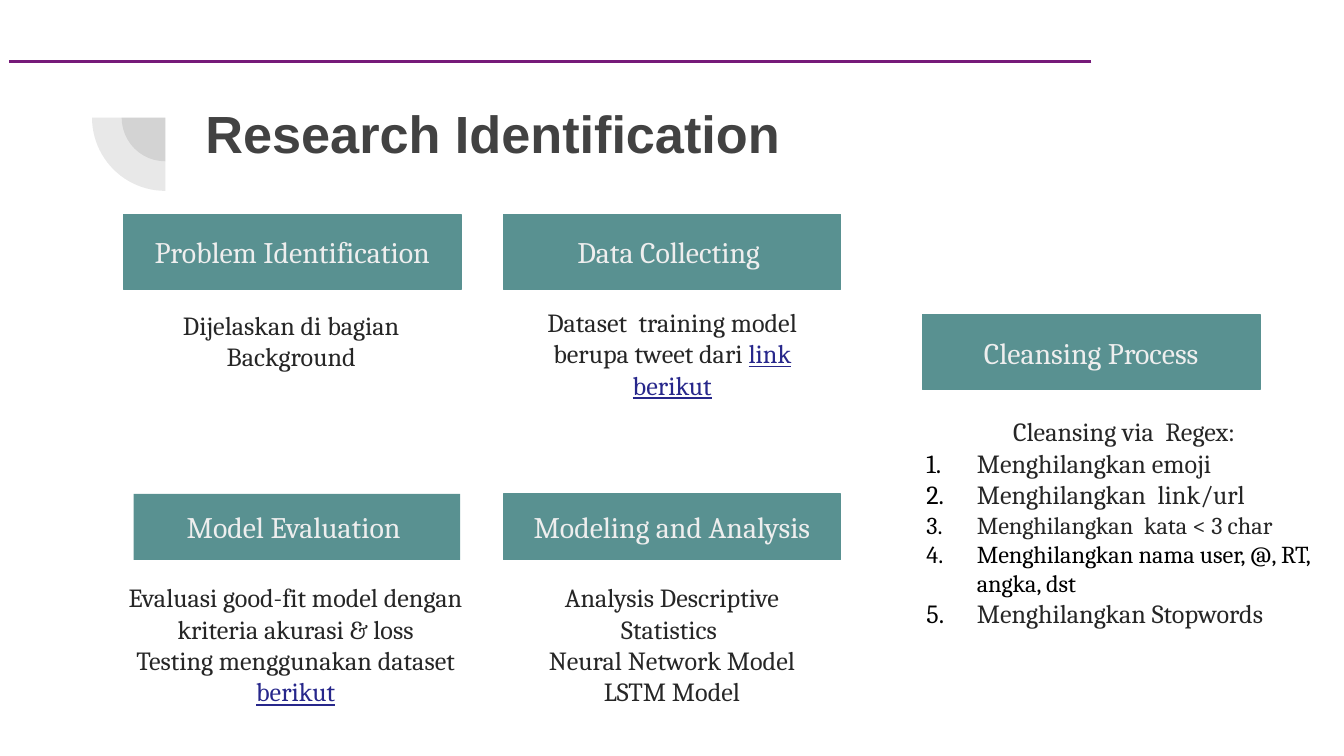
from dataclasses import dataclass

from lxml.etree import SubElement
from pptx import Presentation
from pptx.dml.color import RGBColor
from pptx.enum.shapes import MSO_CONNECTOR as Connector, MSO_SHAPE as Preset
from pptx.enum.text import MSO_ANCHOR as Anchor, PP_ALIGN as Align
from pptx.oxml.ns import qn
from pptx.util import Emu, Pt

EMU_PER_PX = 4572


@dataclass(frozen=True)
class Theme:
    """Colours, fonts and type sizes of the deck."""
    teal: str = "599191"
    purple: str = "761A79"
    grey: str = "424242"
    pale: str = "EEEEEE"
    ink: str = "262626"
    black: str = "000000"
    link: str = "27278B"
    title_font: str = "Arial"
    font: str = "Cambria"
    title_size: int = 28
    heading_size: int = 16
    body_size: int = 14
    small_size: int = 13


THEME = Theme()


@dataclass(frozen=True)
class Span:
    """A stretch of text and its format."""
    text: str
    color: str = THEME.ink
    size: int = THEME.body_size
    font: str = THEME.font
    bold: bool = False
    underline: bool = False


@dataclass(frozen=True)
class Line:
    """A paragraph made of spans."""
    spans: tuple
    align: Align = Align.CENTER
    numbered: bool = False


def px(*lengths):
    """Turn px lengths into EMU."""
    return [Emu(length * EMU_PER_PX) for length in lengths]


def assign(target, values):
    """Set the attributes of an object from a dict."""
    for name, value in values.items():
        setattr(target, name, value)


def paint(fill, color):
    """Make a fill solid."""
    fill.solid()
    fill.fore_color.rgb = RGBColor.from_string(color)


def number(para):
    """Number a paragraph with a hanging indent."""
    properties = para._p.get_or_add_pPr()
    indent = 75 * EMU_PER_PX
    for name, value in {"marL": indent, "indent": -indent}.items():
        properties.set(name, str(value))
    color = SubElement(properties, qn("a:buClr"))
    SubElement(color, qn("a:srgbClr"), val=THEME.black)
    SubElement(properties, qn("a:buAutoNum"), type="arabicPeriod")


def write(shape, lines, anchor=Anchor.MIDDLE, side=20):
    """Fill a shape with formatted lines."""
    frame = shape.text_frame
    edge, margin = px(20, side)
    assign(frame, {"word_wrap": True, "vertical_anchor": anchor,
                   "margin_left": margin, "margin_right": margin,
                   "margin_top": edge, "margin_bottom": edge})
    for index, line in enumerate(lines):
        para = frame.add_paragraph() if index else frame.paragraphs[0]
        para.alignment = line.align
        if line.numbered:
            number(para)
        for span in line.spans:
            run = para.add_run()
            run.text = span.text
            assign(run.font, {"name": span.font, "size": Pt(span.size),
                              "bold": span.bold, "underline": span.underline})
            run.font.color.rgb = RGBColor.from_string(span.color)


def add_rule(page, box):
    """Draw the line across the top of the page."""
    left, top, width = box
    rule = page.shapes.add_connector(Connector.STRAIGHT, *px(left + width, top, left, top))
    rule.line.width = Pt(1.5)
    rule.line.color.rgb = RGBColor.from_string(THEME.purple)
    SubElement(rule._element.spPr, qn("a:effectLst"))


def add_ornament(page, box):
    """Draw two translucent quarter discs around the centre of a box."""
    left, top, size = box
    for inset in (44, 0):
        side = size - 2 * inset
        pie = page.shapes.add_shape(Preset.PIE, *px(left + inset, top + inset, side, side))
        pie.adjustments[0], pie.adjustments[1] = 108, 162
        pie.rotation = 270
        pie.shadow.inherit = False
        pie.line.fill.background()
        paint(pie.fill, THEME.grey)
        color = pie._element.spPr.find(qn("a:solidFill"))[0]
        SubElement(color, qn("a:alpha"), val="12000")


def add_title(page, box, text):
    """Place the page title."""
    span = Span(text, THEME.grey, THEME.title_size, THEME.title_font, bold=True)
    write(page.shapes.add_textbox(*px(*box)), [Line((span,), Align.LEFT)], Anchor.TOP)


def add_card(page, box, heading, body, lines, outlined=True, side=0):
    """Place a heading bar, with its body text offset from the bar."""
    left, top, width, height = box
    bar = page.shapes.add_shape(Preset.RECTANGLE, *px(*box))
    bar.shadow.inherit = False
    paint(bar.fill, THEME.teal)
    if outlined:
        bar.line.width = Pt(0.75)
        bar.line.color.rgb = RGBColor.from_string(THEME.teal)
    else:
        bar.line.fill.background()
    write(bar, [Line((Span(heading, THEME.pale, THEME.heading_size),))], side=side)
    shift, drop, body_width, body_height = body
    place = px(left + shift, top + drop, body_width, body_height)
    write(page.shapes.add_textbox(*place), lines)


def centred(*spans):
    """Make a centred line."""
    return Line(spans)


def linked(text):
    """Make a span with the look of a link."""
    return Span(text, THEME.link, underline=True)


def step(text, **style):
    """Make a numbered line."""
    return Line((Span(text, **style),), Align.LEFT, numbered=True)


def build_page(page):
    """Place every region of the page."""
    add_ornament(page, (137, 66, 218))
    add_title(page, (286, 130, 1538, 218), "Research Identification")
    add_card(page, (749, 735, 502, 98), "Modeling and Analysis", (0, 115, 502, 218), [
        centred(Span("Analysis Descriptive Statistics ")),
        centred(Span("Neural Network Model")),
        centred(Span("LSTM Model"))], side=20)
    add_card(page, (749, 319, 502, 112), "Data Collecting ", (0, 133, 503, 148), [
        centred(Span("Dataset  training model berupa tweet dari "), linked("link berikut"))])
    add_card(page, (184, 319, 502, 112), "Problem Identification", (0, 114, 499, 148), [
        centred(Span("Dijelaskan di bagian Background"))])
    add_card(page, (199, 735, 486, 98), "Model Evaluation ", (-34, 115, 550, 218), [
        centred(Span("Evaluasi good-fit model dengan kriteria akurasi & loss")),
        centred(Span("Testing menggunakan dataset "), linked("berikut"))], outlined=False)
    add_card(page, (1373, 468, 502, 112), "Cleansing Process", (-14, 177, 628, 264), [
        centred(Span("Cleansing via  Regex:")),
        step("Menghilangkan emoji"),
        step("Menghilangkan  link/url"),
        step("Menghilangkan  kata < 3 char", size=THEME.small_size),
        step("Menghilangkan nama user, @, RT, angka, dst",
             size=THEME.small_size, color=THEME.black),
        step("Menghilangkan Stopwords")])
    add_rule(page, (14, 91, 1610))


def main():
    """Build and save the deck."""
    deck = Presentation()
    deck.slide_width, deck.slide_height = px(2000, 1125)
    build_page(deck.slides.add_slide(deck.slide_layouts[6]))
    deck.save("out.pptx")


if __name__ == "__main__":
    main()
